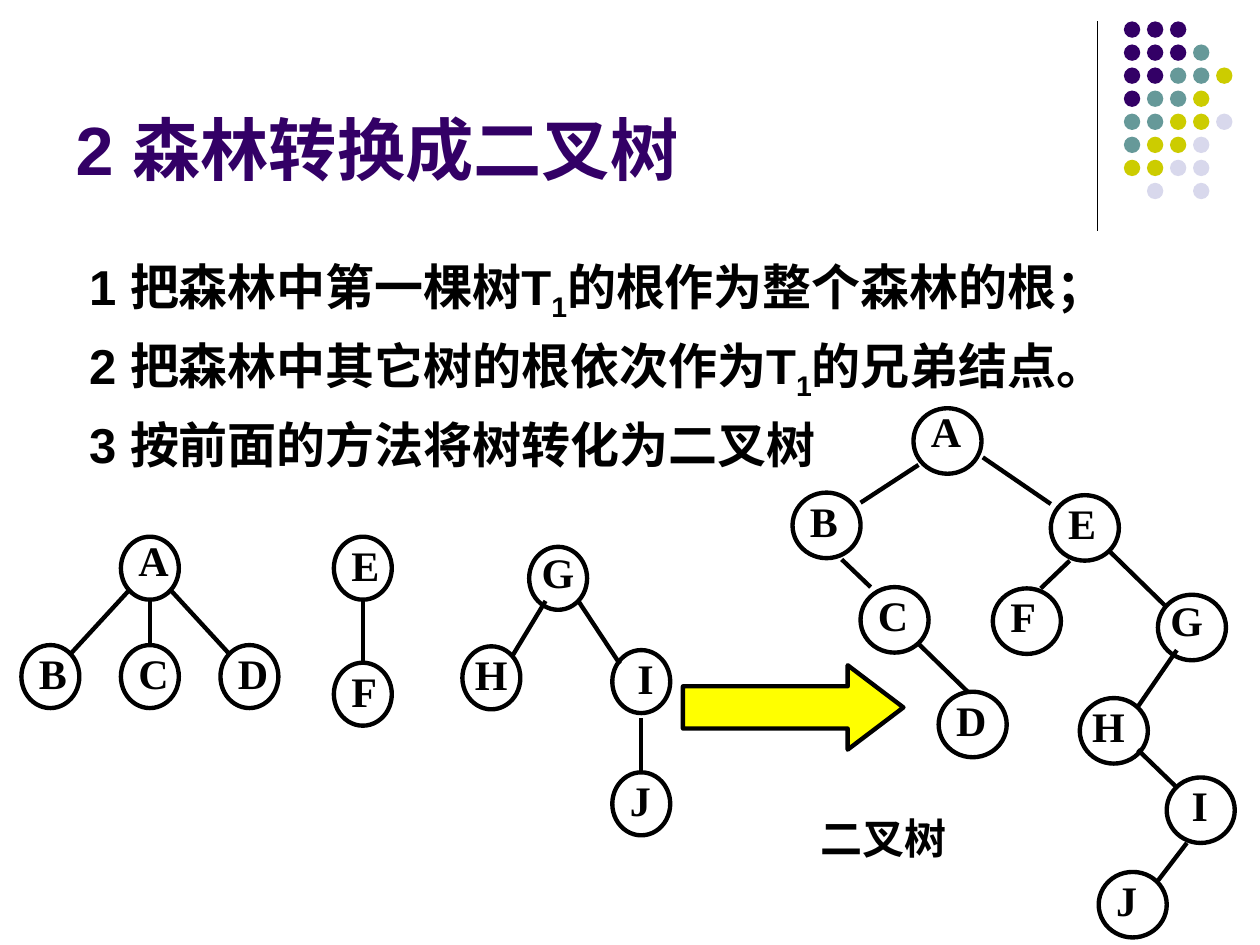
from lxml.etree import SubElement
from pptx import Presentation
from pptx.dml.color import RGBColor
from pptx.enum.shapes import MSO_CONNECTOR, MSO_SHAPE
from pptx.enum.text import MSO_ANCHOR, MSO_AUTO_SIZE, PP_ALIGN
from pptx.oxml.ns import qn
from pptx.util import Inches, Pt


def color(value):
    return RGBColor.from_string(value)


def add_span(para, text, size, face, ink="000000"):
    span = para.add_run()
    span.text = text
    span.font.size = Pt(size)
    span.font.name = face
    span.font.bold = True
    span.font.color.rgb = color(ink)
    return span


deck = Presentation()
deck.slide_width, deck.slide_height = Inches(10), Inches(7.5)
page = deck.slides.add_slide(deck.slide_layouts[5])

# Dot pattern in the corner, one letter per dot
dot_colors = {"P": "330066", "T": "669999", "Y": "CCCC00", "L": "D8D8EC"}
dot_rows = ["PPP", "PPPT", "PPTTY", "PTTY", "TTYYL", "TYYL", "YYLL", " L L"]
for row, letters in enumerate(dot_rows):
    for column, letter in enumerate(letters):
        if letter == " ":
            continue
        dot = page.shapes.add_shape(
            MSO_SHAPE.OVAL, Inches(8.92 + 0.183 * column),
            Inches(0.17 + 0.183 * row), Inches(0.13), Inches(0.13))
        dot.shadow.inherit = False
        dot.fill.solid()
        dot.fill.fore_color.rgb = color(dot_colors[letter])
        dot.line.fill.background()

# Title
title = page.shapes.title
title.left, title.top = Inches(0.5), Inches(0.13)
title.width, title.height = Inches(8.25), Inches(1.42)
title.text_frame.auto_size = MSO_AUTO_SIZE.NONE
title.text_frame.vertical_anchor = MSO_ANCHOR.BOTTOM
para = title.text_frame.paragraphs[0]
para.alignment = PP_ALIGN.LEFT
add_span(para, "2 森林转换成二叉树", 39, "Arial", "330066")

# Three steps; the middle part of a step is a subscript
steps = [
    ["1 把森林中第一棵树T", "1", "的根作为整个森林的根；"],
    ["2 把森林中其它树的根依次作为T", "1", "的兄弟结点。"],
    ["3 按前面的方法将树转化为二叉树"],
]
box = page.shapes.add_textbox(Inches(0.5), Inches(1.88), Inches(9), Inches(4.82))
box.text_frame.word_wrap = True
for number, parts in enumerate(steps):
    if number == 0:
        para = box.text_frame.paragraphs[0]
        para.line_spacing = 1.2
    else:
        para = box.text_frame.add_paragraph()
        para.space_before = Pt(7)
    para.alignment = PP_ALIGN.JUSTIFY
    properties = para._p.get_or_add_pPr()
    properties.set("marL", str(Inches(0.38)))
    properties.set("indent", str(Inches(-0.27)))
    for index, part in enumerate(parts):
        span = add_span(para, part, 28, "Arial")
        if index == 1:
            span._r.get_or_add_rPr().set("baseline", "-25000")

# Caption of the binary tree
caption = page.shapes.add_textbox(Inches(6.41), Inches(6.4), Inches(1.69), Inches(0.5))
caption.text_frame.word_wrap = True
add_span(caption.text_frame.paragraphs[0], "二叉树", 24, "Times New Roman")

# Tree nodes: name, left, top
forest = [
    ("A", 0.96, 4.26), ("B", 0.17, 5.12), ("C", 0.96, 5.12), ("D", 1.75, 5.12),
    ("E", 2.65, 4.26), ("F", 2.65, 5.26),
    ("G", 4.2, 4.34), ("H", 3.67, 5.13), ("I", 4.86, 5.16), ("J", 4.86, 6.13),
]
binary_tree = [
    ("A", 7.25, 3.24), ("B", 6.29, 3.91), ("C", 6.83, 4.66), ("D", 7.45, 5.49),
    ("E", 8.34, 3.93), ("F", 7.88, 4.67), ("G", 9.19, 4.72), ("H", 8.57, 5.54),
    ("I", 9.26, 6.17), ("J", 8.72, 6.92),
]
label_shift = {"G": 0, "H": 0, "I": 0.1}
for nodes, width, height in [(forest, 0.46, 0.5), (binary_tree, 0.54, 0.52)]:
    for name, left, top in nodes:
        node = page.shapes.add_shape(MSO_SHAPE.OVAL, Inches(left), Inches(top),
                                     Inches(width), Inches(height))
        node.shadow.inherit = False
        node.fill.background()
        node.line.color.rgb = color("000000")
        node.line.width = Pt(2.5)
        label = page.shapes.add_textbox(
            Inches(left + label_shift.get(name, 0.04)),
            Inches(top - (0.05 if name == "G" else 0.07)),
            Inches(width), Inches(0.5 if name in "AG" else 0.54))
        label.text_frame.word_wrap = True
        para = label.text_frame.paragraphs[0]
        para.line_spacing = 1.0 if name in "AG" else 1.1
        add_span(para, name, 24, "Times New Roman")

# Title rule and tree edges: start x, start y, end x, end y
rule = (8.71, 0.17, 8.71, 1.83)
edges = [
    (1.02, 4.69, 0.56, 5.19), (1.19, 4.76, 1.19, 5.12), (1.36, 4.69, 1.82, 5.19),
    (2.88, 4.76, 2.88, 5.26),
    (4.33, 4.77, 4.07, 5.2), (4.59, 4.77, 4.92, 5.27), (5.09, 5.7, 5.09, 6.13),
    (7.29, 3.69, 6.83, 3.99), (6.68, 4.44, 6.91, 4.66), (7.29, 5.11, 7.68, 5.49),
    (7.8, 3.63, 8.34, 4), (8.49, 4.45, 8.26, 4.67), (8.8, 4.37, 9.26, 4.82),
    (9.34, 5.16, 9.03, 5.61), (9.03, 5.95, 9.34, 6.25), (9.42, 6.69, 9.19, 6.99),
]
for ends in [rule] + edges:
    edge = page.shapes.add_connector(MSO_CONNECTOR.STRAIGHT, *map(Inches, ends))
    edge.line.color.rgb = color("000000")
    edge.line.width = Pt(0.75 if ends is rule else 2.5)
    SubElement(edge._element.spPr, qn("a:effectLst"))

# Arrow from the forest to the binary tree
arrow = page.shapes.add_shape(MSO_SHAPE.RIGHT_ARROW, Inches(5.42), Inches(5.28),
                              Inches(1.75), Inches(0.67))
arrow.adjustments[0], arrow.adjustments[1] = 0.5, 0.66
arrow.shadow.inherit = False
arrow.fill.solid()
arrow.fill.fore_color.rgb = color("FFFF00")
arrow.line.color.rgb = color("000000")
arrow.line.width = Pt(2.5)

deck.save("out.pptx")
